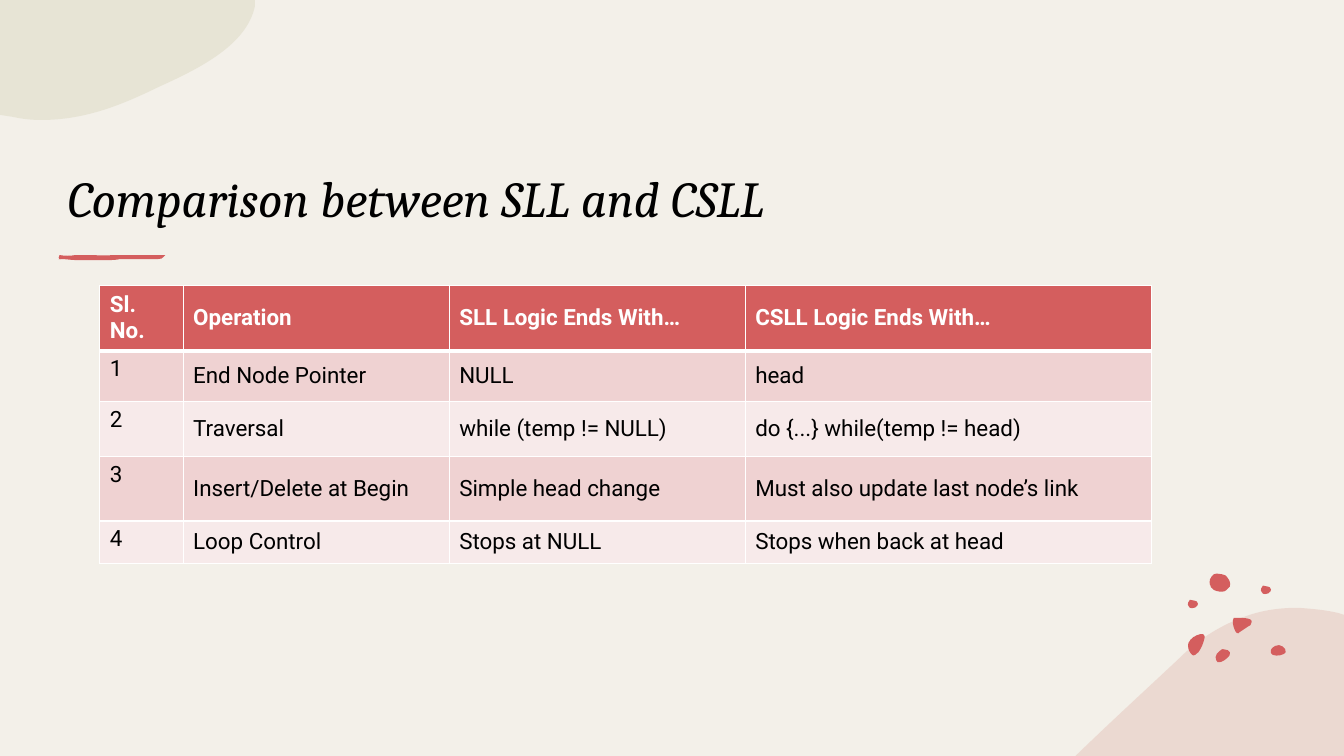
from pptx import Presentation
from pptx.dml.color import RGBColor
from pptx.enum.text import MSO_ANCHOR as Anchor, MSO_AUTO_SIZE as AutoSize, PP_ALIGN as Align
from pptx.oxml.ns import qn
from pptx.util import Emu, Pt
from lxml.etree import SubElement

COLUMNS, ROWS = 1333.33, 750
UNIT = 9144

RED, BLACK, WHITE = "D45E5E", "000000", "FFFFFF"
PAPER, SAGE, BLUSH = "F3F0E9", "DCD9C3", "E5C4BA"
BAND_FILLS = ["EFD2D2", "F7EAEA"]

TITLE_FONT = {"name": "Cambria", "size": Pt(36), "italic": True, "bold": False}
HEADER_FONT = {"name": "Roboto", "size": Pt(16), "bold": True}
BODY_FONT = {**HEADER_FONT, "bold": False}

TABLE_COLUMNS = [82.7, 264, 293.7, 403]
TABLE_ROWS = [65, 50.5, 54.5, 64, 42]
COMPARISON = [
    ["Sl. No.", "Operation", "SLL Logic Ends With…", "CSLL Logic Ends With…"],
    ["1", "End Node Pointer", "NULL", "head"],
    ["2", "Traversal", "while (temp != NULL)", "do {...} while(temp != head)"],
    ["3", "Insert/Delete at Begin", "Simple head change", "Must also update last node’s link"],
    ["4", "Loop Control", "Stops at NULL", "Stops when back at head"],
]

SAGE_BLOB = [(0, 0), (253, 0), (253, 6), (245, 44, 200, 67, 158, 86),
             (123, 103, 86, 119, 41, 119), (31, 119, 22, 118, 13, 116), (0, 114)]
BLUSH_HILL = [(1288, 603), (1301, 604, 1314, 605, 1327, 608), (COLUMNS, 610), (COLUMNS, ROWS),
              (1067, 750), (1068, 749), (1102, 716, 1137, 684, 1169, 654),
              (1191, 632, 1214, 619, 1237, 611), (1254, 605, 1271, 603, 1288, 603)]
BRUSH_STROKE = [(59, 253), (64, 254, 70, 254, 75, 253), (88, 253),
                (94, 253, 106, 254, 111, 253), (133, 253), (157, 253),
                (159, 253, 161, 253, 163, 253), (164, 253),
                (161, 254, 163, 257, 157, 257), (119, 257),
                (115, 258, 111, 258, 107, 258), (92, 258), (86, 258), (75, 258),
                (71, 258, 65, 257, 61, 257), (57, 258, 58, 254, 59, 253)]
BRUSH_SPECKS = [
    [(58, 257), (59, 257, 59, 257, 59.5, 257.3), (59, 257, 59, 257, 58, 257)],
    [(60, 257), (60, 257, 60.2, 257, 60.3, 257.2), (60.2, 257, 60, 257, 60, 257)],
    [(163.7, 253), (163.6, 253, 163.5, 253, 163.4, 253.2), (163.5, 253, 163.6, 253, 163.7, 253)],
]
SMALL_PEBBLE = [(1251, 586), (1251, 586, 1251, 582, 1253, 581),
                (1255, 581, 1256, 581, 1258, 582), (1259, 582, 1261, 583, 1261, 585),
                (1261, 586, 1260, 588, 1259, 588), (1259, 588, 1259, 589, 1257, 589),
                (1256, 589, 1254, 590, 1253, 589), (1252, 587, 1251, 587, 1251, 586)]
PEBBLES = [
    [(1213, 644), (1215, 644, 1216, 644, 1218, 645), (1220, 646, 1221, 648, 1220, 650),
     (1218, 653, 1212, 658, 1208, 657), (1207, 656, 1206, 654, 1206, 652),
     (1206, 650, 1208, 647, 1210, 646), (1211, 645, 1212, 644, 1213, 644)],
    [(1191, 629), (1193, 629, 1195, 629, 1195, 631), (1195, 632, 1195, 632, 1195, 633),
     (1194, 638, 1192, 643, 1189, 647), (1187, 649, 1184, 652, 1182, 649),
     (1179, 646, 1178, 641, 1179, 638), (1180, 635, 1182, 634, 1184, 632),
     (1185, 632, 1188, 629, 1191, 629)],
    [(1269, 640), (1271, 640, 1274, 642, 1275, 644), (1276, 646, 1276, 648, 1273, 649),
     (1270, 651, 1262, 651, 1261, 648), (1260, 646, 1261, 644, 1262, 643),
     (1264, 641, 1266, 640, 1269, 640)],
    [(1201, 581), (1200, 581, 1199, 575, 1202, 572), (1204, 570, 1204, 569, 1207, 569),
     (1210, 569, 1214, 570, 1216, 571), (1218, 573, 1222, 578, 1220, 582),
     (1217, 585, 1216, 587, 1212, 587), (1209, 587, 1204, 586, 1203, 584),
     (1201, 583, 1201, 582, 1201, 581)],
    [(1228, 613), (1234, 613, 1245, 613, 1241, 619), (1241, 620, 1240, 621, 1239, 621),
     (1236, 623, 1233, 625, 1230, 627), (1229, 628, 1228, 629, 1227, 628),
     (1227, 628, 1226, 627, 1226, 627), (1224, 623, 1223, 620, 1223, 616),
     (1223, 615, 1223, 614, 1224, 613), (1228, 613)],
    SMALL_PEBBLE,
]


def grid(length):
    return Emu(round(length * UNIT))


def paint(target, color):
    target.solid()
    target.fore_color.rgb = RGBColor.from_string(color)


def apply(target, formats):
    for name, value in formats.items():
        setattr(target, name, value)


def write(frame, text, formats, color):
    para = frame.paragraphs[0]
    para.alignment = Align.LEFT
    span = para.add_run()
    span.text = text
    apply(span.font, formats)
    paint(span.font.fill, color)


def bend(blob, segments):
    lines = list(blob.element.iter(qn("a:lnTo")))
    for line, segment in zip(lines, segments):
        if len(segment) == 2:
            continue
        line.tag = qn("a:cubicBezTo")
        for index, (x, y) in enumerate([segment[:2], segment[2:4]]):
            control = SubElement(line, qn("a:pt"))
            control.set("x", str(grid(x) - blob.left))
            control.set("y", str(grid(y) - blob.top))
            line.insert(index, control)


def add_blob(page, outline, color, opacity=100, shift=(0, 0)):
    ends = [(grid(segment[-2]), grid(segment[-1])) for segment in outline]
    builder = page.shapes.build_freeform(*ends[0], scale=1.0)
    builder.add_line_segments(ends[1:], close=True)
    blob = builder.convert_to_shape()
    bend(blob, outline[1:])
    apply(blob, {"left": blob.left + grid(shift[0]), "top": blob.top + grid(shift[1])})
    paint(blob.fill, color)
    if opacity < 100:
        tint = blob.element.spPr.find(".//" + qn("a:srgbClr"))
        SubElement(tint, qn("a:alpha")).set("val", str(opacity * 1000))
    blob.line.fill.background()
    blob.shadow.inherit = False


def add_title(page, text):
    title = page.shapes.title
    apply(title, {"left": grid(57), "top": grid(86), "width": grid(1102), "height": grid(145)})
    apply(title.text_frame, {"word_wrap": True, "auto_size": AutoSize.NONE,
                             "vertical_anchor": Anchor.BOTTOM})
    write(title.text_frame, text, TITLE_FONT, BLACK)


def add_borders(cell, widths):
    properties = cell._tc.get_or_add_tcPr()
    for index, (side, width) in enumerate(widths.items()):
        border = SubElement(properties, qn("a:ln" + side))
        border.set("w", str(Pt(width)))
        SubElement(SubElement(border, qn("a:solidFill")), qn("a:srgbClr")).set("val", WHITE)
        properties.insert(index, border)


def add_comparison(page):
    frame = page.shapes.add_table(len(TABLE_ROWS), len(TABLE_COLUMNS), grid(99), grid(283),
                                  grid(sum(TABLE_COLUMNS)), grid(sum(TABLE_ROWS)))
    table = frame.table
    for column, width in zip(table.columns, TABLE_COLUMNS):
        column.width = grid(width)
    for row, height in zip(table.rows, TABLE_ROWS):
        row.height = grid(height)
    for r, texts in enumerate(COMPARISON):
        header = r == 0
        for c, text in enumerate(texts):
            cell = table.cell(r, c)
            numbered = c == 0 and not header
            cell.vertical_anchor = Anchor.TOP if numbered else Anchor.MIDDLE
            paint(cell.fill, RED if header else BAND_FILLS[(r - 1) % 2])
            add_borders(cell, {"L": 1, "R": 1, "T": 3 if r == 1 else 1, "B": 3 if header else 1})
            write(cell.text_frame, text, HEADER_FONT if header else BODY_FONT,
                  WHITE if header else BLACK)


def main():
    deck = Presentation()
    apply(deck, {"slide_width": grid(COLUMNS), "slide_height": grid(ROWS)})
    page = deck.slides.add_slide(deck.slide_layouts.get_by_name("Title Only"))
    paint(page.background.fill, PAPER)
    add_blob(page, BLUSH_HILL, BLUSH, opacity=50)
    for pebble in PEBBLES:
        add_blob(page, pebble, RED)
    add_blob(page, SMALL_PEBBLE, RED, shift=(-72.5, 14))
    add_blob(page, SAGE_BLOB, SAGE, opacity=50)
    for mark in [*BRUSH_SPECKS, BRUSH_STROKE]:
        add_blob(page, mark, RED)
    add_title(page, "Comparison between SLL and CSLL")
    add_comparison(page)
    deck.save("out.pptx")


if __name__ == "__main__":
    main()
